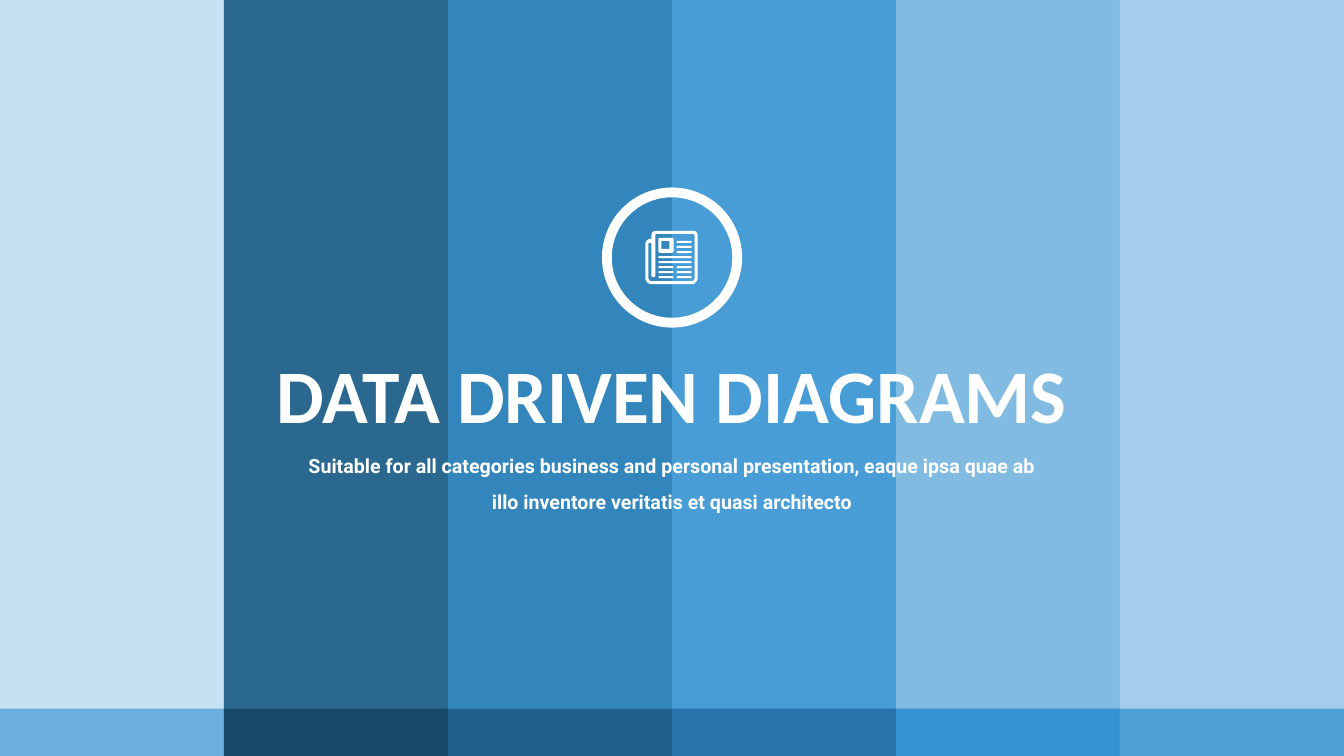
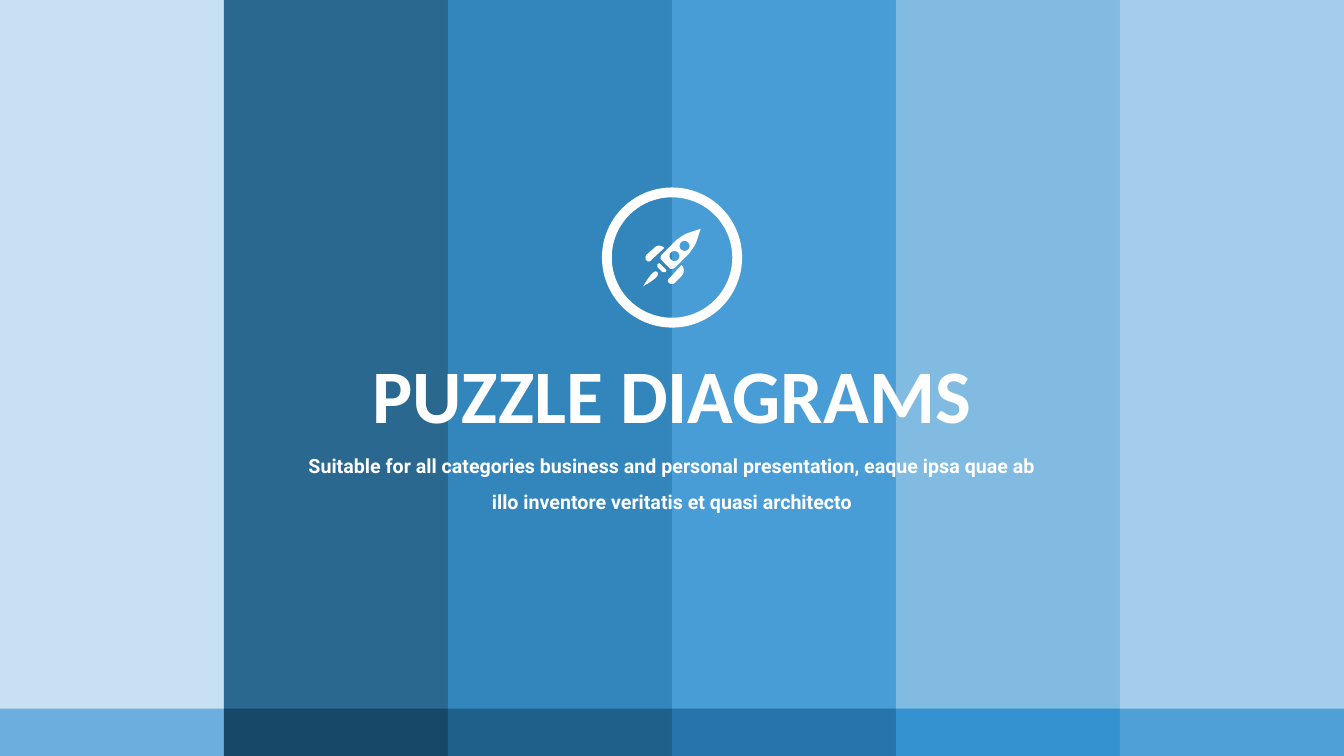
import math

import lxml.etree
import pptx
import pptx.dml.color
import pptx.enum.shapes
import pptx.enum.text
import pptx.oxml.ns
import pptx.util

Inches = pptx.util.Inches
Kind = pptx.enum.shapes.MSO_SHAPE
WIDE, HIGH = 13.33, 7.5


class Theme:
    white = "FFFFFF"
    bands = ["C6E0F2", "1F608B", "2980B9", "4098D4", "7BB8E1", "9FCBE9"]
    feet = ["6CAFDE", "174868", "1F608B", "2674A9", "3492D1", "4FA0D7"]
    alpha = 95
    head = dict(font="Calibri", size=54)
    body = dict(font="Roboto", size=14, space=1.5)


def paint(shape, color, alpha=100):
    shape.shadow.inherit = False
    shape.fill.solid()
    shape.fill.fore_color.rgb = pptx.dml.color.RGBColor.from_string(color)
    shape.line.fill.background()
    if alpha < 100:
        tint = shape.element.spPr.find(".//" + pptx.oxml.ns.qn("a:srgbClr"))
        lxml.etree.SubElement(tint, pptx.oxml.ns.qn("a:alpha"), val=str(alpha * 1000))


def write(slide, text, top, width, height, font, size, space=None, wrap=True):
    box = slide.shapes.add_textbox(Inches((WIDE - width) / 2), Inches(top),
                                   Inches(width), Inches(height))
    frame = box.text_frame
    frame.word_wrap = wrap
    frame.auto_size = pptx.enum.text.MSO_AUTO_SIZE.SHAPE_TO_FIT_TEXT
    para = frame.paragraphs[0]
    para.text = text
    para.alignment = pptx.enum.text.PP_ALIGN.CENTER
    para.line_spacing = space
    para.font.name = font
    para.font.size = pptx.util.Pt(size)
    para.font.bold = True
    para.font.color.rgb = pptx.dml.color.RGBColor.from_string(Theme.white)


# Icon outlines: two numbers make a line, six make a curve
page = [
    [(6.87, 2.29), (6.51, 2.29), (6.48, 2.29, 6.46, 2.31, 6.46, 2.34), (6.46, 2.37),
     (6.45, 2.37), (6.42, 2.37, 6.4, 2.4, 6.4, 2.42), (6.4, 2.75),
     (6.4, 2.79, 6.43, 2.82, 6.46, 2.82), (6.86, 2.82),
     (6.89, 2.82, 6.92, 2.79, 6.92, 2.75), (6.92, 2.34),
     (6.92, 2.31, 6.9, 2.29, 6.87, 2.29)],
    [(6.89, 2.75), (6.89, 2.77, 6.88, 2.79, 6.86, 2.79), (6.46, 2.79),
     (6.44, 2.79, 6.43, 2.77, 6.43, 2.75), (6.43, 2.42),
     (6.43, 2.41, 6.44, 2.41, 6.45, 2.41), (6.46, 2.41), (6.46, 2.74),
     (6.46, 2.74, 6.47, 2.75, 6.48, 2.75), (6.49, 2.75, 6.5, 2.74, 6.5, 2.74),
     (6.5, 2.34), (6.5, 2.33, 6.5, 2.32, 6.51, 2.32), (6.87, 2.32),
     (6.88, 2.32, 6.89, 2.33, 6.89, 2.34)],
]
photo = [
    [(6.55, 2.51), (6.66, 2.51), (6.67, 2.51, 6.68, 2.5, 6.68, 2.49), (6.68, 2.37),
     (6.68, 2.36, 6.67, 2.36, 6.66, 2.36), (6.55, 2.36),
     (6.54, 2.36, 6.53, 2.36, 6.53, 2.37), (6.53, 2.49),
     (6.53, 2.5, 6.54, 2.51, 6.55, 2.51)],
    [(6.56, 2.39), (6.64, 2.39), (6.64, 2.47), (6.56, 2.47)],
]
turns = [math.tau * step / 24 for step in range(24)]
holes = [[(x + 0.05 * math.cos(turn), y + 0.05 * math.sin(turn)) for turn in turns]
         for x, y in [(6.69, 2.54), (6.79, 2.44)]]
hull = [
    [(6.83, 2.31), (6.79, 2.32, 6.74, 2.36, 6.71, 2.38), (6.56, 2.53),
     (6.55, 2.55, 6.55, 2.57, 6.56, 2.58), (6.64, 2.66),
     (6.65, 2.67, 6.67, 2.67, 6.69, 2.66), (6.84, 2.51),
     (6.86, 2.48, 6.9, 2.43, 6.91, 2.39), (6.95, 2.27)],
    *holes,
]
left_fin = [[(6.46, 2.58), (6.59, 2.46), (6.56, 2.43, 6.51, 2.43, 6.49, 2.46),
             (6.41, 2.53), (6.4, 2.55, 6.4, 2.57, 6.41, 2.58),
             (6.42, 2.6, 6.45, 2.6, 6.46, 2.58)]]
right_fin = [[(6.64, 2.76), (6.62, 2.77, 6.62, 2.8, 6.64, 2.81),
              (6.65, 2.82, 6.67, 2.82, 6.69, 2.81), (6.76, 2.74),
              (6.79, 2.71, 6.79, 2.66, 6.76, 2.63)]]
nozzle = [[(6.52, 2.62), (6.52, 2.63, 6.52, 2.64, 6.52, 2.65), (6.57, 2.7),
           (6.58, 2.7, 6.59, 2.7, 6.6, 2.7), (6.61, 2.68), (6.54, 2.61)]]
flame = [[(6.38, 2.84), (6.45, 2.8, 6.56, 2.73, 6.52, 2.7),
          (6.49, 2.66, 6.42, 2.77, 6.38, 2.84)]]

# Print lines of the newspaper: left, first top, width, count
blocks = [(6.71, 2.39, 0.15, 3), (6.53, 2.54, 0.33, 2),
          (6.53, 2.64, 0.15, 3), (6.71, 2.64, 0.15, 3)]
rows = [(left, top + 0.05 * row, width)
        for left, top, width, count in blocks for row in range(count)]

motto = ("Suitable for all categories business and personal presentation, "
         "eaque ipsa quae ab illo inventore veritatis et quasi architecto")
pages = [
    ("DATA DRIVEN DIAGRAMS", 8.12, [page, photo], rows),
    ("PUZZLE DIAGRAMS", 6.2, [hull, left_fin, right_fin, nozzle, flame], []),
]

deck = pptx.Presentation()
deck.slide_width, deck.slide_height = Inches(WIDE), Inches(HIGH)

for title, span, parts, lines in pages:
    slide = deck.slides.add_slide(deck.slide_layouts[6])

    # Colour bands, then the darker strip at the foot
    for colors, top, alpha in [(Theme.bands, 0, Theme.alpha), (Theme.feet, 7.03, 100)]:
        step = WIDE / len(colors)
        for spot, color in enumerate(colors):
            band = slide.shapes.add_shape(Kind.RECTANGLE, Inches(spot * step), Inches(top),
                                          Inches(step), Inches(HIGH - top))
            paint(band, color, alpha)

    # Title and motto
    write(slide, title, 3.4, span, 1.01, wrap=False, **Theme.head)
    write(slide, motto, 4.34, 7.49, 0.77, **Theme.body)

    # Ring
    ring = slide.shapes.add_shape(Kind.DONUT, Inches(5.97), Inches(1.86),
                                  Inches(1.39), Inches(1.39))
    ring.adjustments[0] = 0.07
    paint(ring, Theme.white)

    # Icon
    icon = slide.shapes.add_group_shape().shapes
    for part in parts:
        pen = None
        for loop in part:
            last = loop[0]
            start = [Inches(value) for value in last]
            if pen is None:
                pen = icon.build_freeform(*start, scale=1.0)
            else:
                pen.move_to(*start)
            dots = []
            for node in loop[1:]:
                if len(node) == 2:
                    dots.append(node)
                else:
                    for t in [step / 8 for step in range(1, 9)]:
                        u = 1 - t
                        dots.append([u**3 * last[axis] + 3 * u * u * t * node[axis]
                                     + 3 * u * t * t * node[axis + 2] + t**3 * node[axis + 4]
                                     for axis in (0, 1)])
                last = node[-2:]
            pen.add_line_segments([(Inches(x), Inches(y)) for x, y in dots], close=True)
        paint(pen.convert_to_shape(), Theme.white)
    for left, top, width in lines:
        line = icon.add_shape(Kind.ROUNDED_RECTANGLE, Inches(left), Inches(top),
                              Inches(width), Inches(0.02))
        line.adjustments[0] = 0.5
        paint(line, Theme.white)

deck.save("out.pptx")
